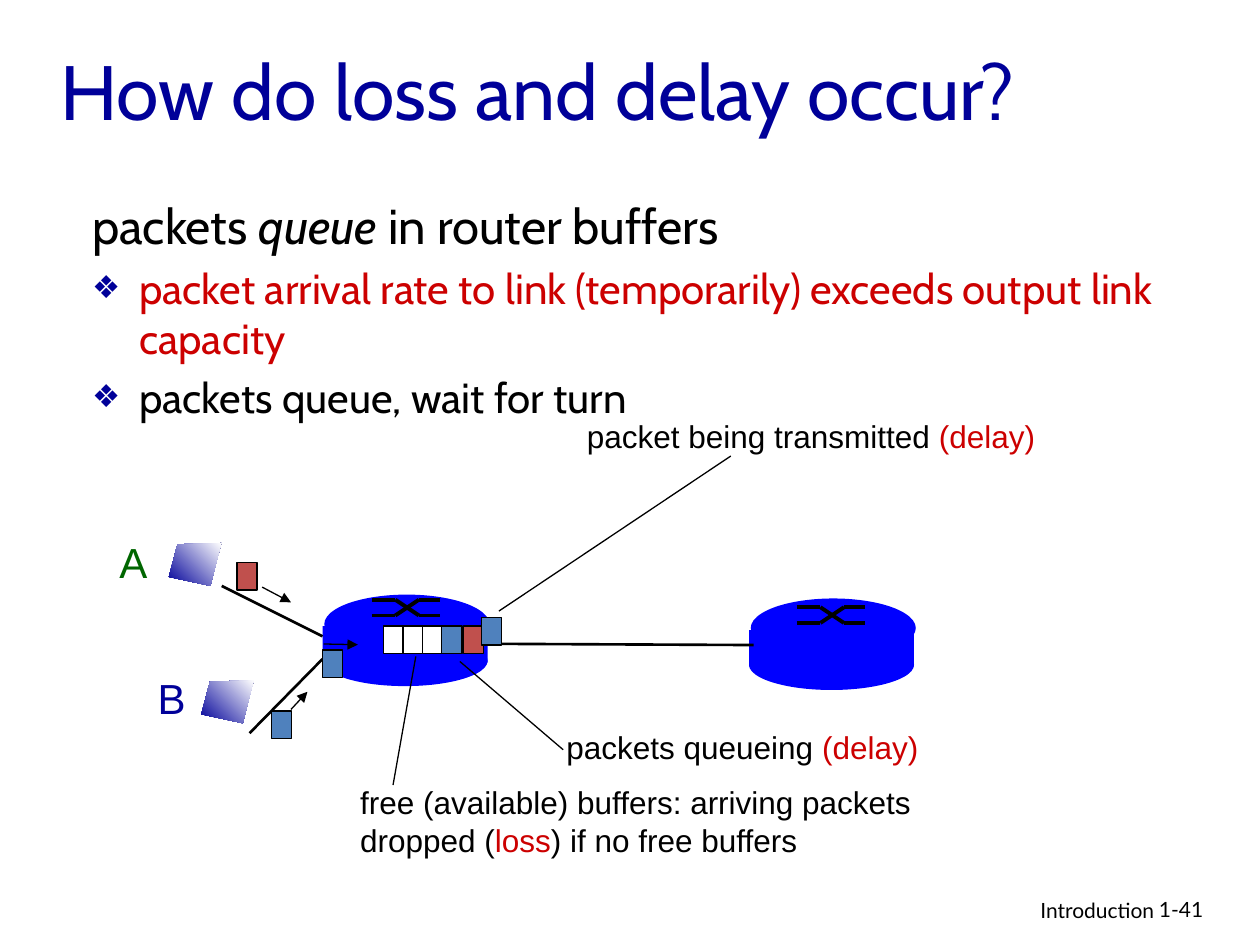
"""Builds a slide on how packet loss and delay occur in router buffers."""
from lxml import etree
from pptx import Presentation
from pptx.dml.color import RGBColor
from pptx.enum.shapes import MSO_CONNECTOR, MSO_SHAPE
from pptx.enum.text import MSO_ANCHOR, MSO_AUTO_SIZE, PP_ALIGN
from pptx.oxml.ns import qn
from pptx.util import Pt

STRAIGHT = MSO_CONNECTOR.STRAIGHT
OVAL, RECT = MSO_SHAPE.OVAL, MSO_SHAPE.RECTANGLE
LEFT, RIGHT = PP_ALIGN.LEFT, PP_ALIGN.RIGHT
MIDDLE, TOP = MSO_ANCHOR.MIDDLE, MSO_ANCHOR.TOP
NO_FIT = MSO_AUTO_SIZE.NONE

COLORS = {
    "navy": "000099", "black": "000000", "white": "FFFFFF", "red": "CC0000",
    "green": "006600", "router": "0000FF", "blue_packet": "4F81BD",
    "red_packet": "C0504D",
}


def rgb(name):
    return RGBColor.from_string(COLORS[name])


def add_run(paragraph, text, size, font, color="black", italic=None):
    run = paragraph.add_run()
    run.text = text
    run.font.size = Pt(size)
    run.font.name = font
    run.font.italic = italic
    run.font.color.rgb = rgb(color)


def place(shape, left, top, width, height):
    shape.left, shape.top = Pt(left), Pt(top)
    shape.width, shape.height = Pt(width), Pt(height)


def set_bullet(paragraph, char=None):
    properties = paragraph._p.get_or_add_pPr()
    properties.set("marL", str(Pt(27)))
    properties.set("indent", str(-Pt(27)))
    if char is None:
        etree.SubElement(properties, qn("a:buNone"))
        return
    color = etree.SubElement(properties, qn("a:buClr"))
    etree.SubElement(color, qn("a:srgbClr"), val=COLORS["navy"])
    etree.SubElement(properties, qn("a:buSzPct"), val="75000")
    etree.SubElement(properties, qn("a:buChar"), char=char)


def fill_title(title):
    place(title, 27.3, 6.5, 612, 90)
    frame = title.text_frame
    frame.auto_size = NO_FIT
    frame.vertical_anchor = MIDDLE
    heading = frame.paragraphs[0]
    heading.alignment = LEFT
    add_run(heading, "How do loss and delay occur?", 44, "Cabin", "navy")


def fill_body(body):
    place(body, 45.4, 108, 674, 166.3)
    frame = body.text_frame
    frame.auto_size = NO_FIT
    frame.vertical_anchor = TOP
    lead = frame.paragraphs[0]
    set_bullet(lead)
    lead.space_before = Pt(0)
    add_run(lead, "packets ", 28, "Cabin")
    add_run(lead, "queue", 28, "Cabin", italic=True)
    add_run(lead, " in router buffers", 28, "Cabin")
    points = [
        ("packet arrival rate to link (temporarily) exceeds output link capacity", "red"),
        ("packets queue, wait for turn", "black"),
    ]
    for text, color in points:
        point = frame.add_paragraph()
        set_bullet(point, "❖")
        point.space_before = Pt(4.8)
        add_run(point, text, 24, "Cabin", color)


def add_label(shapes, box, lines, size=18, font="Arial", align=LEFT):
    label = shapes.add_textbox(*map(Pt, box))
    frame = label.text_frame
    frame.word_wrap = True
    for index, line in enumerate(lines):
        paragraph = frame.add_paragraph() if index else frame.paragraphs[0]
        paragraph.alignment = align
        for text, color in line:
            add_run(paragraph, text, size, font, color)


def add_block(shapes, kind, box, color, outline=None):
    block = shapes.add_shape(kind, *map(Pt, box))
    block.shadow.inherit = False
    block.fill.solid()
    block.fill.fore_color.rgb = rgb(color)
    if outline:
        block.line.color.rgb = rgb(outline)
        block.line.width = Pt(0.75)
    else:
        block.line.fill.background()


def add_packet(shapes, left, top, color):
    add_block(shapes, RECT, (left, top, 11.5, 15.8), color, "black")


def add_line(shapes, start, end, width=0.75, arrow=False):
    line = shapes.add_connector(STRAIGHT, *map(Pt, start + end))
    line.line.color.rgb = rgb("black")
    line.line.width = Pt(width)
    if arrow:
        outline = line.line._get_or_add_ln()
        etree.SubElement(outline, qn("a:tailEnd"), type="triangle")
    etree.SubElement(line._element.spPr, qn("a:effectLst"))


def add_router(shapes, left, top, cross_left, cross_top):
    add_block(shapes, OVAL, (left, top + 23.5, 94.3, 28.8), "router")
    add_block(shapes, RECT, (left, top + 18, 94.3, 20.9), "router")
    add_block(shapes, OVAL, (left + 1, top, 94.3, 33.8), "router")
    xs = [cross_left + offset for offset in (0, 13.5, 27, 39)]
    upper, lower = cross_top, cross_top + 9
    for first, last in ((upper, lower), (lower, upper)):
        stops = list(zip(xs, (first, first, last, last)))
        for start, end in zip(stops, stops[1:]):
            add_line(shapes, start, end, 2.25)


def add_host(shapes, left, top):
    corners = [(30, 0), (5, 0.7), (0, 19.4), (23.8, 24.5)]
    points = [(Pt(left + x), Pt(top + y)) for x, y in corners]
    builder = shapes.build_freeform(*points[0])
    builder.add_line_segments(points[1:], close=True)
    host = builder.convert_to_shape()
    host.shadow.inherit = False
    host.line.fill.background()
    host.fill.gradient()
    host.fill.gradient_angle = 45
    for stop, position, color in zip(host.fill.gradient_stops, (0, 1), ("navy", "white")):
        stop.position = position
        stop.color.rgb = rgb(color)


def add_network(shapes):
    add_router(shapes, 184.3, 339.8, 212.4, 342.7)
    add_router(shapes, 428, 342, 455.3, 347)
    for start, end in (
        ((126.7, 334.8), (184.3, 363.6)),
        ((142.6, 419), (184.3, 376.6)),
        ((278, 367.9), (430.6, 368.6)),
    ):
        add_line(shapes, start, end, 1.5)
    add_host(shapes, 96.5, 310.3)
    add_host(shapes, 115, 388.8)
    add_label(shapes, (61.2, 303.1, 36, 36), [[("A", "green")]], 24)
    add_label(shapes, (83, 380.9, 36, 36), [[("B", "navy")]], 24)


def add_packets(shapes):
    add_packet(shapes, 265, 357.8, "red_packet")
    for slot, color in enumerate(["white"] * 3 + ["blue_packet"]):
        add_packet(shapes, 219.2 + 11.1 * slot, 357.8, color)
    for left, top, color in (
        (275, 352.8, "blue_packet"),
        (184.3, 371.5, "blue_packet"),
        (155, 406.2, "blue_packet"),
        (135.4, 321.3, "red_packet"),
    ):
        add_packet(shapes, left, top, color)
    for start, end in (
        ((185, 368), (204.5, 368.4)),
        ((166.3, 405.4), (175.7, 395.3)),
        ((149.8, 335.5), (166.3, 344.2)),
    ):
        add_line(shapes, start, end, arrow=True)


def add_callouts(shapes):
    delay = ("(delay)", "red")
    add_label(shapes, (328.3, 234.7, 285, 28.8),
              [[("packet being transmitted ", "black"), delay]])
    add_line(shapes, (417.6, 260.6), (285.1, 349.2))
    add_label(shapes, (316.6, 412.6, 230, 28.8),
              [[("packets queueing ", "black"), delay]])
    add_line(shapes, (321.8, 428.4), (262.8, 378))
    add_label(shapes, (198.7, 443.8, 348, 50.4), [
        [("free (available) buffers: arriving packets", "black")],
        [("dropped (", "black"), ("loss", "red"), (") if no free buffers", "black")],
    ])
    add_line(shapes, (224.6, 448.6), (237.6, 375.1))


def main():
    deck = Presentation()
    deck.slide_width, deck.slide_height = Pt(720), Pt(540)
    slide = deck.slides.add_slide(deck.slide_layouts[1])
    shapes = slide.shapes
    fill_title(shapes.title)
    fill_body(slide.placeholders[1])
    add_network(shapes)
    add_packets(shapes)
    add_callouts(shapes)
    add_label(shapes, (439.2, 509.3, 227.5, 22.3), [[("Introduction", "black")]],
              12, "Lato", RIGHT)
    add_label(shapes, (655.2, 509, 53.3, 21.6), [[("1-41", "black")]], 12, "Lato")
    deck.save("out.pptx")


if __name__ == "__main__":
    main()
